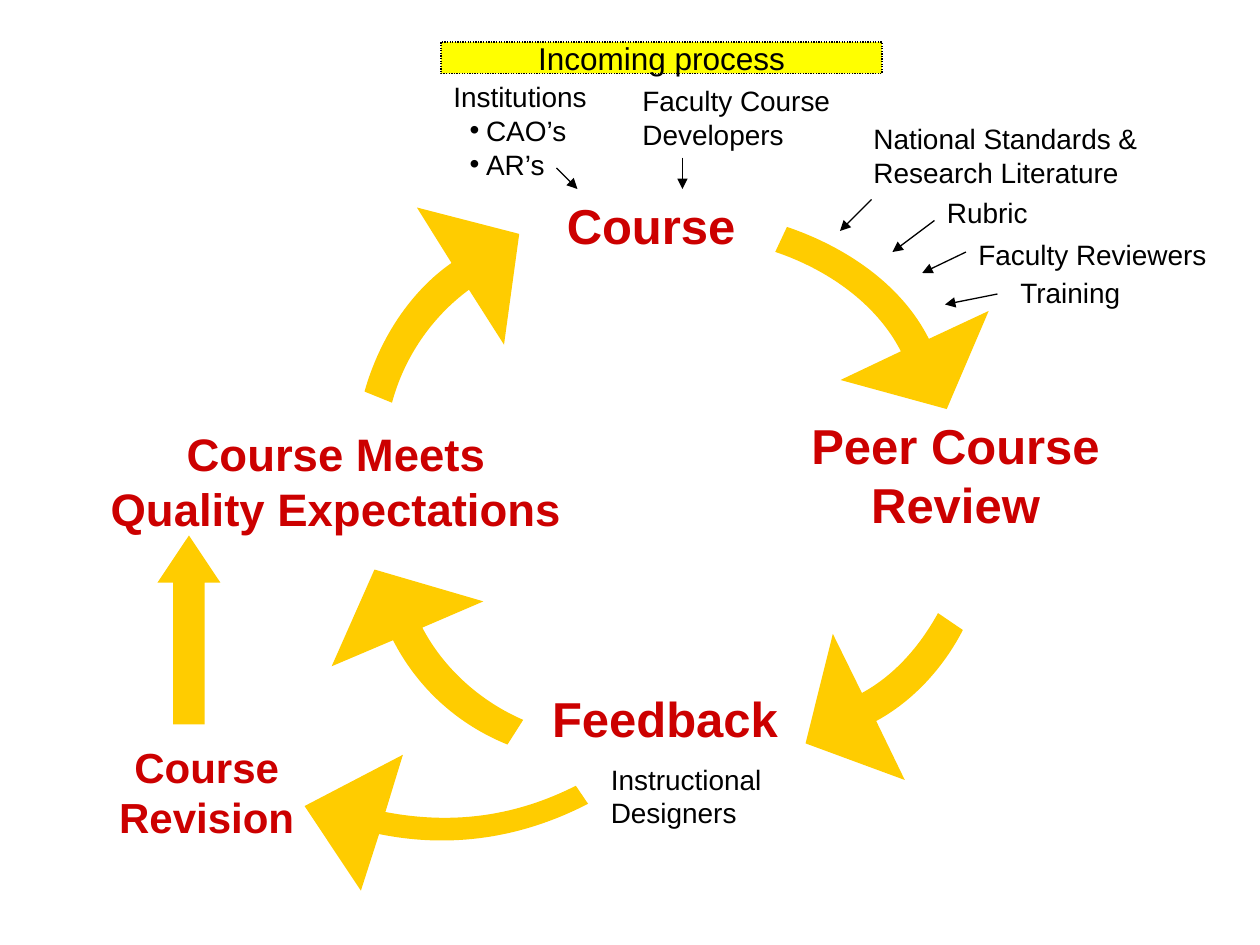
from math import cos, radians, sin

from lxml.etree import SubElement
from pptx import Presentation
from pptx.dml.color import RGBColor
from pptx.enum.dml import MSO_LINE
from pptx.enum.shapes import MSO_CONNECTOR, MSO_SHAPE
from pptx.enum.text import MSO_ANCHOR, PP_ALIGN
from pptx.oxml.ns import qn
from pptx.util import Pt

RED = RGBColor(0xCC, 0, 0)
GOLD = RGBColor(0xFF, 0xCC, 0)
YELLOW = RGBColor(0xFF, 0xFF, 0)
BLACK = RGBColor(0, 0, 0)


def turn(point, box, angle):
    """Return a slide point in the frame of a box turned by an angle."""
    left, top, wide, high = box
    dx = point[0] - left - wide / 2
    dy = point[1] - top - high / 2
    c, s = cos(radians(angle)), sin(radians(angle))
    return wide / 2 + dx * c + dy * s, high / 2 - dx * s + dy * c


def write(frame, text, size=16, color=BLACK, bold=False,
          align=PP_ALIGN.LEFT, gap=0.0):
    """Fill a text frame; lines that start with a bullet are indented."""
    for n, line in enumerate(text.split("\n")):
        para = frame.paragraphs[0] if n == 0 else frame.add_paragraph()
        para.alignment = align
        para.space_before = Pt(gap if n == 0 else 0)
        run = para.add_run()
        run.text = line.lstrip("•")
        font = run.font
        font.name, font.size, font.bold = "Arial", Pt(size), bold
        font.color.rgb = color
        if line.startswith("•"):
            para.level = 1
            props = para._p.get_or_add_pPr()
            props.set("marL", str(Pt(18.7)))
            props.set("indent", str(Pt(-9.4)))
            SubElement(props, qn("a:buFont")).set("typeface", "Arial")
            SubElement(props, qn("a:buChar")).set("char", "•")


class Board:
    """Holds the slide and the style of its elements."""

    def __init__(self, slide):
        """Keep the slide to draw on."""
        self.shapes = slide.shapes

    def paint(self, shape, fill, line=None):
        """Set the fill and the outline of a shape."""
        shape.shadow.inherit = False
        shape.fill.solid()
        shape.fill.fore_color.rgb = fill
        if line is None:
            shape.line.fill.background()
        else:
            shape.line.color.rgb = line
            shape.line.width = Pt(0.74)
        return shape

    def block(self, kind, box, fill, line=None):
        """Add a preset shape."""
        shape = self.shapes.add_shape(kind, *map(Pt, box))
        return self.paint(shape, fill, line)

    def label(self, text, box, **style):
        """Add a wrapped text box."""
        frame = self.shapes.add_textbox(*map(Pt, box)).text_frame
        frame.word_wrap = True
        size = style.get("size", 16)
        write(frame, text, gap=0.625 * size, **style)

    def title(self, text, size, box, align=PP_ALIGN.CENTER):
        """Add a bold red stage name."""
        self.label(text, box, size=size, color=RED, bold=True, align=align)

    def sweep(self, box, angle, inner, outer, head):
        """Add a curved arrow from two curves and three head corners."""
        left, top, wide, high = map(Pt, box)
        pen = self.shapes.build_freeform(left, top, scale=1.0)
        pen.add_line_segments([(left + wide, top),
                               (left + wide, top + high),
                               (left, top + high)], close=True)
        shape = self.paint(pen.convert_to_shape(), GOLD)
        shape.rotation = angle
        route = next(shape._element.iter(qn("a:path")))
        for step in list(route):
            route.remove(step)
        steps = [("moveTo", inner[:1]), ("cubicBezTo", inner[1:]),
                 ("lnTo", outer[:1]), ("cubicBezTo", outer[1:])]
        steps += [("lnTo", [corner]) for corner in head]
        for kind, points in steps:
            step = SubElement(route, qn("a:" + kind))
            for point in points:
                x, y = turn(point, box, angle)
                spot = SubElement(step, qn("a:pt"))
                spot.set("x", str(Pt(x)))
                spot.set("y", str(Pt(y)))
        SubElement(route, qn("a:close"))

    def arrow(self, *ends):
        """Add a thin arrow."""
        line = self.shapes.add_connector(MSO_CONNECTOR.STRAIGHT,
                                         *map(Pt, ends))
        line.line.color.rgb = BLACK
        line.line.width = Pt(0.74)
        SubElement(line.line._get_or_add_ln(),
                   qn("a:tailEnd")).set("type", "triangle")
        SubElement(line._element.spPr, qn("a:effectLst"))


TO_REVIEW = (
    (260, 105, 264, 306), 71,
    [(514.8, 200.8), (500.6, 173), (472, 153.7), (443, 144)],
    [(449.7, 129.7), (483, 141), (515, 162.3), (530.8, 193.7)],
    [(565, 177.7), (541, 233.8), (480.3, 217.2)])
TO_FEEDBACK = (
    (300, 126, 267, 302.4), 165.5,
    [(492.5, 396), (511.4, 385.7), (525.7, 369), (536, 350.3)],
    [(550.2, 360), (539, 381.7), (521.7, 400.6), (500.7, 412)],
    [(517, 445.7), (460.3, 424.8), (475.9, 362.2)])
TO_COURSE = (
    (205, 126, 267, 302.4), 339.6,
    [(268, 165.6), (247, 181), (231, 204), (224, 230.2)],
    [(208.3, 223.8), (217, 193), (235, 166.3), (258, 150.3)],
    [(238.2, 118.6), (296.7, 133.7), (288, 197)])
TO_REVISION = (
    (102, 210, 310, 270), 174.8,
    [(220.2, 464), (256.6, 471), (292.6, 467.4), (329, 449)],
    [(336, 459.3), (296, 480), (255.4, 484.6), (216.6, 476.6)],
    [(206.2, 509), (174, 460.6), (230.2, 431.3)])
TO_QUALITY = (
    (232.6, 152.6, 264, 306), 258.6,
    [(241.3, 358.6), (253.7, 382.3), (275, 401), (299, 411.3)],
    [(290, 425.4), (261, 413.7), (238.3, 392.6), (224.6, 365.8)],
    [(189.5, 380.7), (214, 325.4), (276.2, 343.6)])
TITLES = [
    ("Peer Course Review", 28, (456, 234, 180, 75)),
    ("Feedback", 28, (308.4, 390, 148, 41), PP_ALIGN.LEFT),
    ("Course", 28, (312, 108, 120, 41)),
    ("Course Meets Quality Expectations", 26, (54, 240, 276, 70)),
    ("Course Revision", 24, (54, 420, 128.2, 65)),
]
LABELS = [
    ("Instructional Designers", (342, 432, 130, 46)),
    ("Institutions\n•CAO’s\n•AR’s", (252, 42.1, 97, 65)),
    ("Faculty Course Developers", (360, 44.2, 198, 46)),
    ("National Standards & Research Literature", (492, 66, 192, 46)),
    ("Rubric", (534, 108, 168, 27)),
    ("Faculty Reviewers", (552, 132, 168, 27)),
    ("Training", (576, 153.8, 168, 27)),
]
ARROWS = [
    (570, 168, 540, 174), (552, 144, 527, 156), (318, 96, 330, 108),
    (390, 90, 390, 108), (498, 114, 480, 132), (534, 126, 510, 144),
]

deck = Presentation()
deck.slide_width, deck.slide_height = Pt(720), Pt(540)
board = Board(deck.slides.add_slide(deck.slide_layouts[6]))
for sweep in (TO_REVIEW, TO_FEEDBACK, TO_COURSE):
    board.sweep(*sweep)
for title in TITLES:
    board.title(*title)
rise = board.block(MSO_SHAPE.UP_ARROW, (90, 306, 36, 108), GOLD)
rise.adjustments[0], rise.adjustments[1] = 0.5, 0.75
for label in LABELS:
    board.label(*label)
for arrow in ARROWS:
    board.arrow(*arrow)
banner = board.block(MSO_SHAPE.RECTANGLE, (252, 24, 252, 18), YELLOW, BLACK)
banner.line.dash_style = MSO_LINE.ROUND_DOT
banner.text_frame.word_wrap = False
banner.text_frame.vertical_anchor = MSO_ANCHOR.MIDDLE
write(banner.text_frame, "Incoming process", size=18, align=PP_ALIGN.CENTER)
for sweep in (TO_REVISION, TO_QUALITY):
    board.sweep(*sweep)
deck.save("out.pptx")
